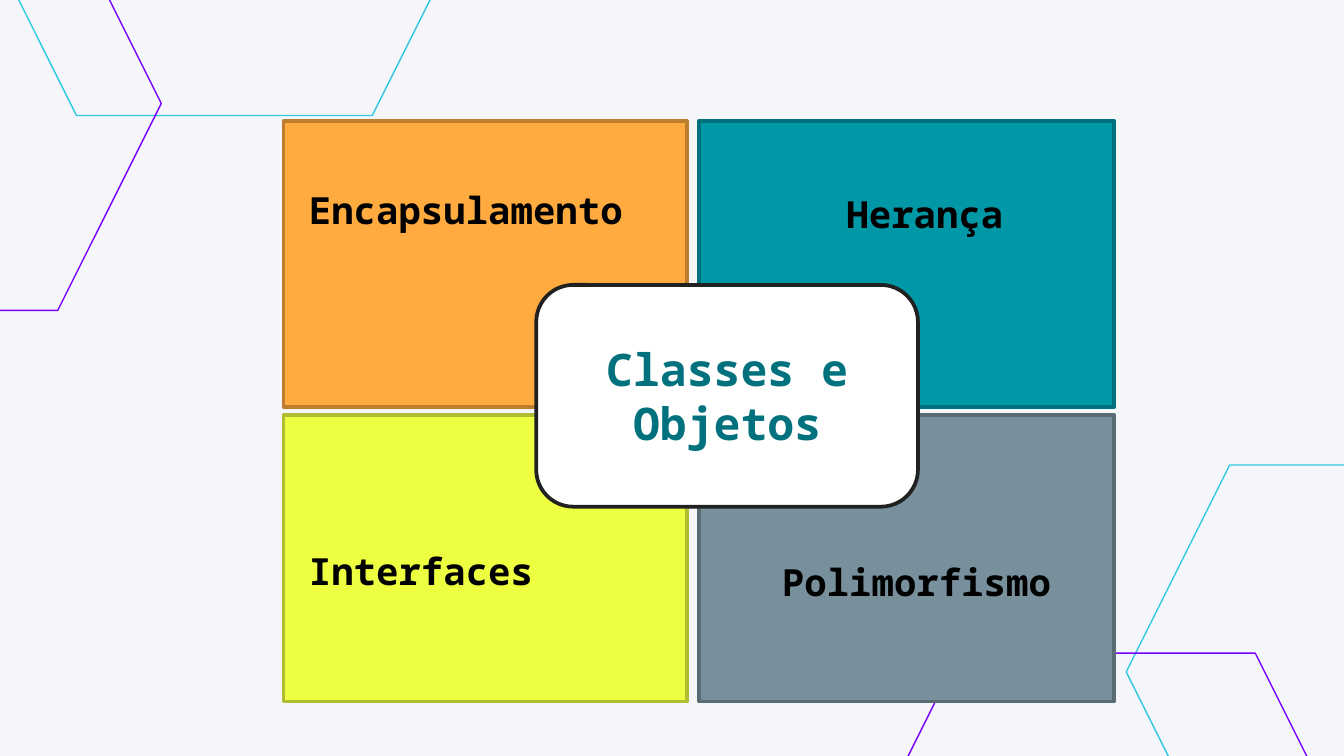
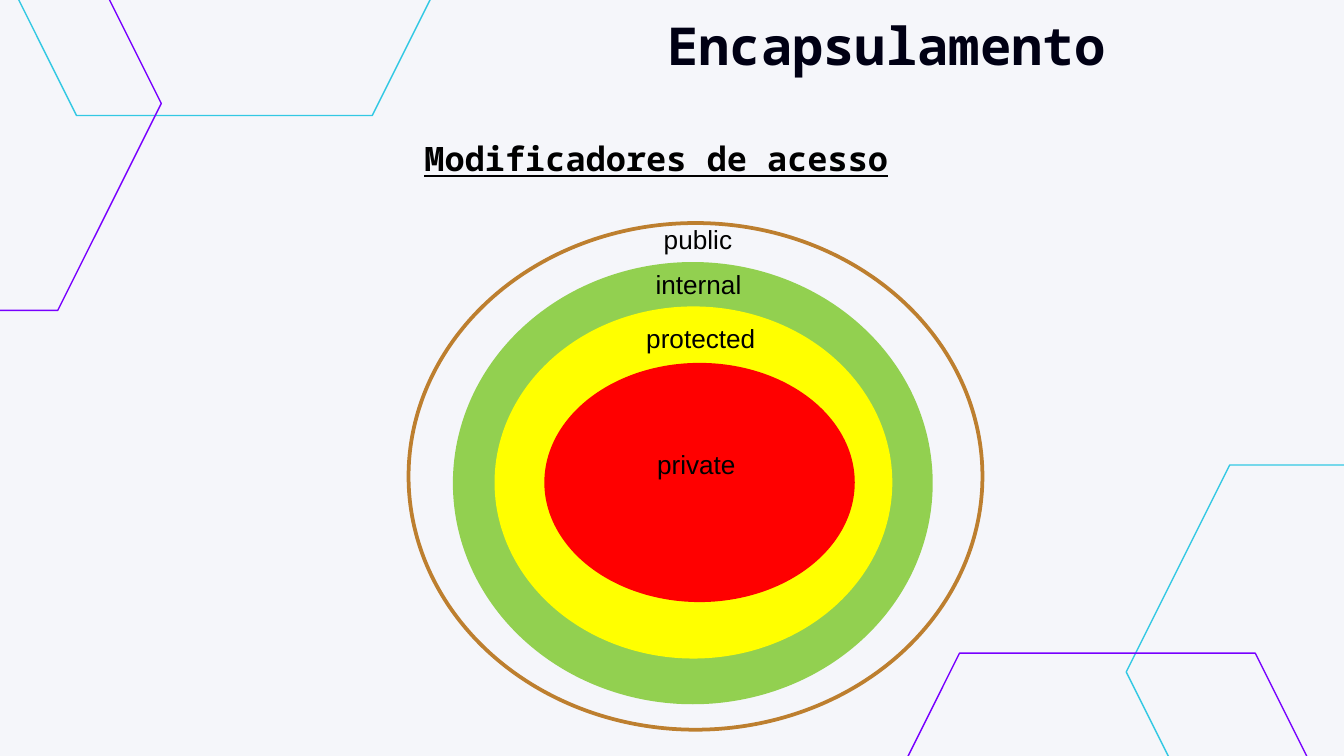
"""Build two slides on object-oriented concepts and access modifiers."""
import pptx
import pptx.dml.color
import pptx.enum.shapes
import pptx.enum.text
import pptx.util

Inches = pptx.util.Inches
Shapes = pptx.enum.shapes.MSO_SHAPE
Align = pptx.enum.text.PP_ALIGN
Anchor = pptx.enum.text.MSO_ANCHOR
AutoSize = pptx.enum.text.MSO_AUTO_SIZE

COLORS = {
    "background": "F5F6FA", "cyan": "32C8E3", "purple": "7800FF",
    "orange": "FFAB40", "brown": "BD7F2F", "teal": "0097A7",
    "dark teal": "00707C", "lime": "EEFF41", "olive": "B0BD30",
    "slate": "78909C", "dark slate": "596B73", "white": "FFFFFF",
    "charcoal": "212121", "heading": "00717D", "title": "000014",
    "black": "000000", "green": "92D050", "yellow": "FFFF00", "red": "FF0000",
}
MONO = "Noto Sans Mono"
STYLES = {
    "title": {"name": MONO, "size": 28, "bold": True, "color": "title"},
    "center": {"name": MONO, "size": 24, "bold": True, "color": "heading"},
    "pillar": {"name": MONO, "size": 20, "bold": True, "color": "black"},
    "subtitle": {"name": MONO, "size": 18, "bold": True, "underline": True, "color": "black"},
    "ring": {"name": "Arial", "size": 14, "color": "black"},
}

HEXAGON_SIZE = (3.74, 3.08)
HEXAGONS = [
    (8.38, 3.46, "cyan"), (6.37, 4.86, "purple"),
    (-0.2, -2.22, "cyan"), (-2.54, -0.77, "purple"),
]

COLUMNS = [(2.11, 3), (5.2, 3.09)]
ROWS = [0.9, 3.09]
PILLAR_HEIGHT = 2.13
PILLARS = [
    ("Encapsulamento", "orange", "brown", (2.2, 1.34)),
    ("Herança", "teal", "dark teal", (6.2, 1.37)),
    ("Interfaces", "lime", "olive", (2.2, 4.03)),
    ("Polimorfismo", "slate", "dark slate", (5.72, 4.11)),
]
CENTER = ("Classes e Objetos", (3.99, 2.12, 2.84, 1.65))

TITLE = ("Encapsulamento", (3.19, 0, 6.81, 0.54))
SUBTITLE = ("Modificadores de acesso", (3.06, 0.98, 3.87, 0.4))
RINGS = [
    ("public", (3.04, 1.66, 4.27, 3.77), None, "brown", (4.84, 1.61, 0.71)),
    ("internal", (3.37, 1.95, 3.57, 3.29), "green", None, (4.78, 1.95, 0.84)),
    ("protected", (3.68, 2.28, 2.96, 2.62), "yellow", None, (4.71, 2.35, 1.02)),
    ("private", (4.05, 2.7, 2.31, 1.78), "red", None, (4.79, 3.29, 0.79)),
]


def rgb(name):
    return pptx.dml.color.RGBColor.from_string(COLORS[name])


def paint(fill, color):
    if color:
        fill.solid()
        fill.fore_color.rgb = rgb(color)
    else:
        fill.background()


def write(shape, text, style, align=Align.LEFT, **frame_format):
    frame = shape.text_frame
    for name, value in frame_format.items():
        setattr(frame, name, value)
    paragraph = frame.paragraphs[0]
    paragraph.alignment = align
    run = paragraph.add_run()
    run.text = text
    for name, value in STYLES[style].items():
        if name == "color":
            run.font.color.rgb = rgb(value)
        else:
            setattr(run.font, name, pptx.util.Pt(value) if name == "size" else value)


def add_shape(slide, kind, box, fill=None, line=None, width=2):
    shape = slide.shapes.add_shape(kind, *map(Inches, box))
    shape.shadow.inherit = False
    paint(shape.fill, fill)
    paint(shape.line.fill, line)
    if line:
        shape.line.width = pptx.util.Pt(width)
    return shape


def add_label(slide, text, box, style, wrap=True):
    label = slide.shapes.add_textbox(*map(Inches, box))
    write(label, text, style, word_wrap=wrap, auto_size=AutoSize.SHAPE_TO_FIT_TEXT)


def add_slide(presentation, layout):
    slide = presentation.slides.add_slide(presentation.slide_layouts[layout])
    paint(slide.background.fill, "background")
    for left, top, color in HEXAGONS:
        add_shape(slide, Shapes.HEXAGON, (left, top, *HEXAGON_SIZE), line=color, width=0.75)
    return slide


def build_pillars(presentation):
    slide = add_slide(presentation, 6)
    for index, (name, fill, line, position) in enumerate(PILLARS):
        row, column = divmod(index, 2)
        left, width = COLUMNS[column]
        add_shape(slide, Shapes.RECTANGLE, (left, ROWS[row], width, PILLAR_HEIGHT), fill, line)
    text, box = CENTER
    center = add_shape(slide, Shapes.ROUNDED_RECTANGLE, box, "white", "charcoal")
    write(center, text, "center", Align.CENTER, vertical_anchor=Anchor.MIDDLE)
    for name, fill, line, position in PILLARS:
        add_label(slide, name, (*position, 2.54, 0.44), "pillar")


def build_modifiers(presentation):
    slide = add_slide(presentation, 5)
    text, box = TITLE
    title = slide.shapes.title
    for side, value in zip(("left", "top", "width", "height"), box):
        setattr(title, side, Inches(value))
    margins = {f"margin_{side}": Inches(0.1) for side in ("left", "top", "right", "bottom")}
    write(title, text, "title", Align.CENTER, vertical_anchor=Anchor.TOP,
          auto_size=AutoSize.NONE, **margins)
    add_label(slide, *SUBTITLE, "subtitle")
    for name, box, fill, line, position in RINGS:
        add_shape(slide, Shapes.OVAL, box, fill, line)
        add_label(slide, name, (*position, 0.34), "ring", wrap=False)


def main():
    presentation = pptx.Presentation()
    presentation.slide_width = Inches(10)
    presentation.slide_height = Inches(10) * 9 // 16
    build_pillars(presentation)
    build_modifiers(presentation)
    presentation.save("out.pptx")


if __name__ == "__main__":
    main()
